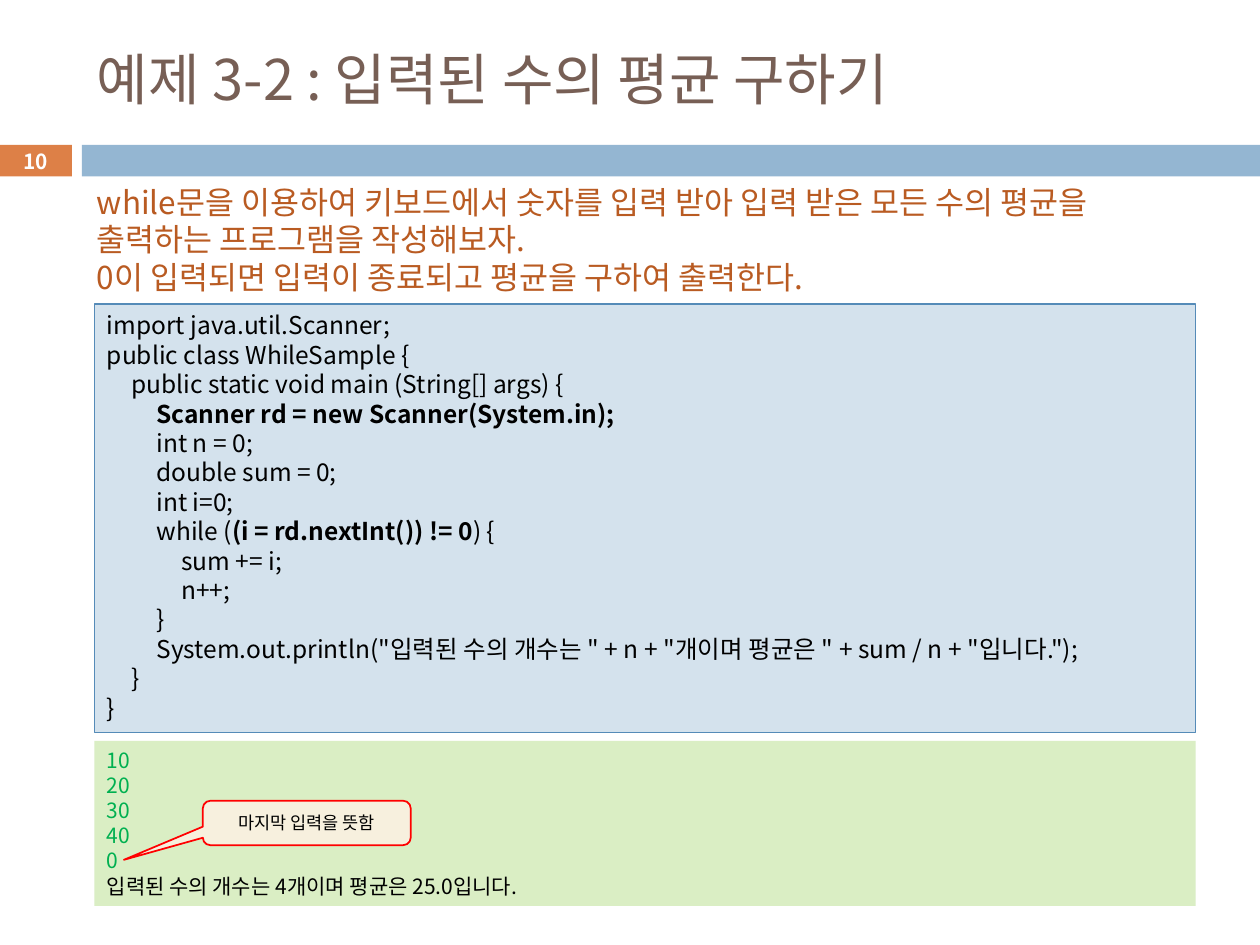
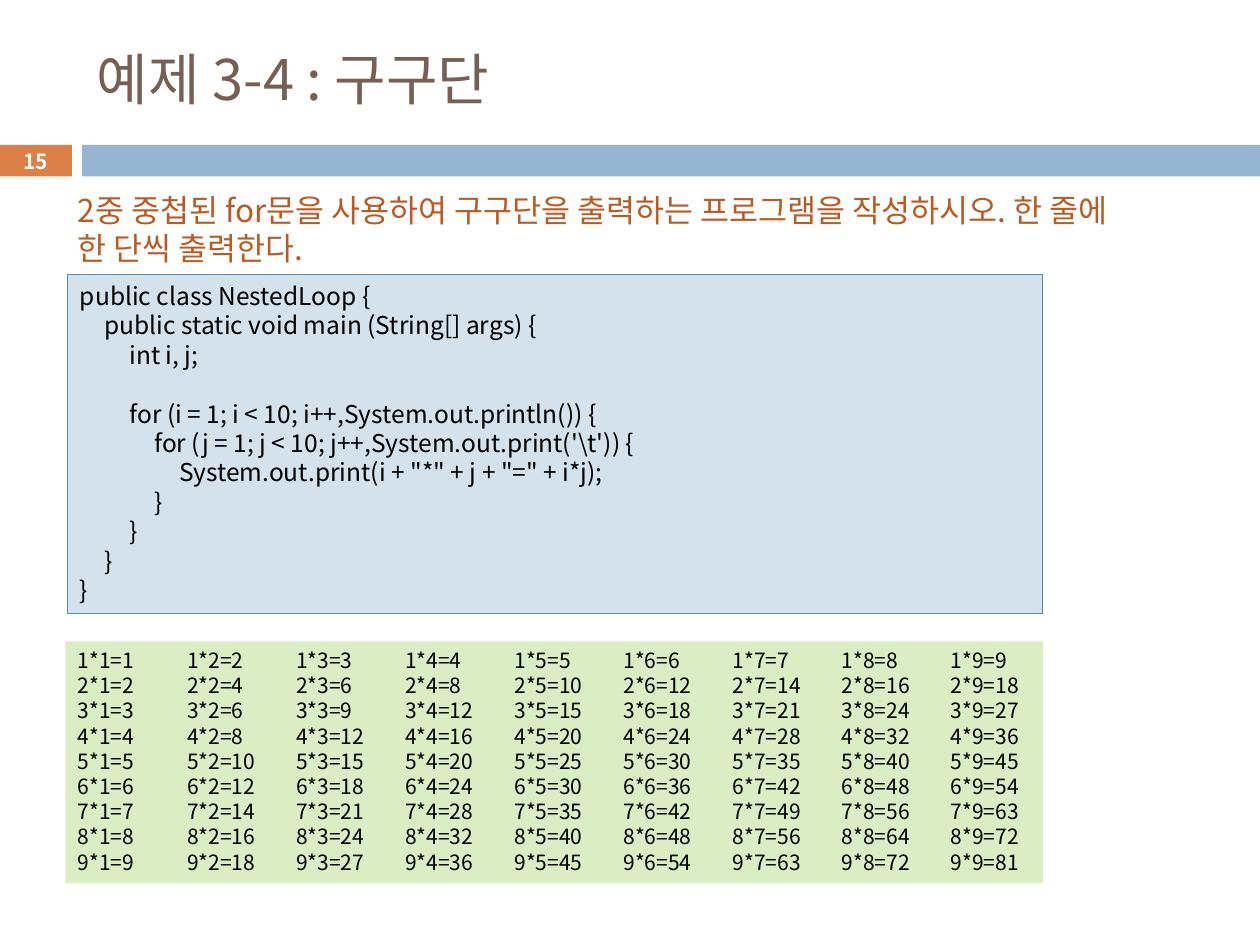
from dataclasses import dataclass
from typing import Optional

from lxml import etree
from pptx import Presentation
from pptx.dml.color import RGBColor
from pptx.enum import shapes, text
from pptx.oxml import ns
from pptx.util import Pt

FONT = "Noto Sans CJK KR"
INK = {
    "title": "775F55", "task": "B95B22", "band": "94B6D2", "tag": "DD8047",
    "code": "D4E2ED", "edge": "558BB8", "out": "DAEEC4", "typed": "00B050",
    "note": "F7F0DE", "red": "FF0000", "black": "000000", "white": "FFFFFF",
}
LEAD = 1.2  # line height as a share of the text size


@dataclass(frozen=True)
class Style:
    size: float
    ink: str = "black"
    bold: bool = False
    mid: bool = False
    center: bool = False
    tab: float = 0
    fill: Optional[str] = None
    line: Optional[str] = None
    width: float = 0.75


@dataclass(frozen=True)
class Box:
    left: float
    top: float
    width: float
    height: float


TITLE = Style(32, "title", mid=True)
TASK = Style(18, "task")
CODE = Style(14, tab=14.17, fill="code", line="edge")
OUT = Style(12, tab=62.36, fill="out")
TAG = Style(11.9, "white", bold=True, mid=True, center=True, fill="tag")
BAND = Style(12, fill="band")
NOTE = Style(10, mid=True, center=True, fill="note", line="red", width=1)

RECT = shapes.MSO_SHAPE.RECTANGLE
CALL = shapes.MSO_SHAPE.ROUNDED_RECTANGULAR_CALLOUT

MEAN = """import java.util.Scanner;
public class WhileSample {
\tpublic static void main (String[] args) {
\t\t|Scanner rd = new Scanner(System.in);
\t\tint n = 0;
\t\tdouble sum = 0;
\t\tint i=0;
\t\twhile (|(i = rd.nextInt()) != 0|) {
\t\t\tsum += i;
\t\t\tn++;
\t\t}
\t\tSystem.out.println("입력된 수의 개수는 " + n + "개이며 평균은 " + sum / n + "입니다.");
\t}
}"""

TIMES = """public class NestedLoop {
\tpublic static void main (String[] args) {
\t\tint i, j;

\t\tfor (i = 1; i < 10; i++,System.out.println()) {
\t\t\tfor (j = 1; j < 10; j++,System.out.print('\\t')) {
\t\t\t\tSystem.out.print(i + "*" + j + "=" + i*j);
\t\t\t}
\t\t}
\t}
}"""


def tint(name: str) -> RGBColor:
    return RGBColor.from_string(INK[name])


def add_tabs(para, step: float) -> None:
    """Put left tab stops at equal steps."""
    stops = etree.SubElement(para._p.get_or_add_pPr(), ns.qn("a:tabLst"))
    for i in range(1, 9):
        etree.SubElement(stops, ns.qn("a:tab"), pos=str(int(Pt(step * i))), algn="l")


def add_run(para, words: str, style: Style, ink: str, bold: bool) -> None:
    run = para.add_run()
    run.text = words
    for key, value in {"name": FONT, "size": Pt(style.size), "bold": bold}.items():
        setattr(run.font, key, value)
    run.font.color.rgb = tint(ink)
    etree.SubElement(run._r.get_or_add_rPr(), ns.qn("a:ea"), typeface=FONT)


def write(shape, words: str, style: Style, inks: dict[int, str]) -> None:
    """Fill a shape with lines; bars switch bold, inks recolours lines by index."""
    frame = shape.text_frame
    anchor = text.MSO_ANCHOR.MIDDLE if style.mid else text.MSO_ANCHOR.TOP
    look = {"word_wrap": True, "vertical_anchor": anchor,
            "margin_left": Pt(7.2), "margin_right": Pt(7.2),
            "margin_top": Pt(3.6), "margin_bottom": Pt(3.6)}
    for key, value in look.items():
        setattr(frame, key, value)
    for i, line in enumerate(words.split("\n")):
        para = frame.add_paragraph() if i else frame.paragraphs[0]
        if style.tab:
            add_tabs(para, style.tab)
        para.line_spacing = Pt(style.size * LEAD)
        para.alignment = text.PP_ALIGN.CENTER if style.center else text.PP_ALIGN.LEFT
        if not line:
            para.font.size = Pt(style.size)
            continue
        for j, part in enumerate(line.split("|")):
            add_run(para, part, style, inks.get(i, style.ink), style.bold or j % 2 == 1)


def draw(slide, box: Box, style: Style, words: str = "", kind=RECT,
         inks: Optional[dict[int, str]] = None):
    """Draw a filled shape, or a text box when the style has no fill."""
    area = [Pt(v) for v in (box.left, box.top, box.width, box.height)]
    if style.fill:
        shape = slide.shapes.add_shape(kind, *area)
        shape.shadow.inherit = False
        shape.fill.solid()
        shape.fill.fore_color.rgb = tint(style.fill)
        if style.line:
            shape.line.color.rgb = tint(style.line)
            shape.line.width = Pt(style.width)
        else:
            shape.line.fill.background()
    else:
        shape = slide.shapes.add_textbox(*area)
    if words:
        write(shape, words, style, inks or {})
    return shape


def start(deck, title: str, page: int):
    """Add a slide with the shared band, page tag and title."""
    slide = deck.slides.add_slide(deck.slide_layouts[6])
    draw(slide, Box(-0.72, 82.8, 41.76, 18), TAG, str(page))
    draw(slide, Box(46.8, 82.8, 673.2, 18), BAND)
    draw(slide, Box(48.24, 18, 642.24, 53.28), TITLE, title)
    return slide


def add_mean(deck) -> None:
    slide = start(deck, "예제 3-2 : 입력된 수의 평균 구하기", 10)
    draw(slide, Box(48.24, 100.8, 615.6, 72.72), TASK,
         "while문을 이용하여 키보드에서 숫자를 입력 받아 입력 받은 모든 수의 평균을 "
         "출력하는 프로그램을 작성해보자.\n"
         "0이 입력되면 입력이 종료되고 평균을 구하여 출력한다.")
    draw(slide, Box(54, 173.8, 629.28, 244.8), CODE, MEAN)
    typed = ["10", "20", "30", "40", "0"]
    result = "입력된 수의 개수는 4개이며 평균은 25.0입니다."
    draw(slide, Box(54, 423.36, 629.28, 94.32), OUT, "\n".join([*typed, result]),
         inks=dict.fromkeys(range(len(typed)), "typed"))
    note = draw(slide, Box(115.92, 457.6, 118.8, 25.4), NOTE, "마지막 입력을 뜻함", CALL)
    for i, value in enumerate((-0.88, 0.83, 0.17)):
        note.adjustments[i] = value


def add_times(deck) -> None:
    slide = start(deck, "예제 3-4 : 구구단", 15)
    draw(slide, Box(37.44, 105.84, 615.6, 51.12), TASK,
         "2중 중첩된 for문을 사용하여 구구단을 출력하는 프로그램을 작성하시오. "
         "한 줄에 한 단씩 출력한다.")
    draw(slide, Box(38.6, 156.96, 557.28, 193.68), CODE, TIMES)
    nums = range(1, 10)
    rows = ["\t".join(f"{i}*{j}={i * j}" for j in nums) for i in nums]
    draw(slide, Box(37.44, 366.48, 558.72, 138.24), OUT, "\n".join(rows))


def main() -> None:
    deck = Presentation()
    deck.slide_width, deck.slide_height = Pt(720), Pt(540)
    add_mean(deck)
    add_times(deck)
    deck.save("out.pptx")


if __name__ == "__main__":
    main()
